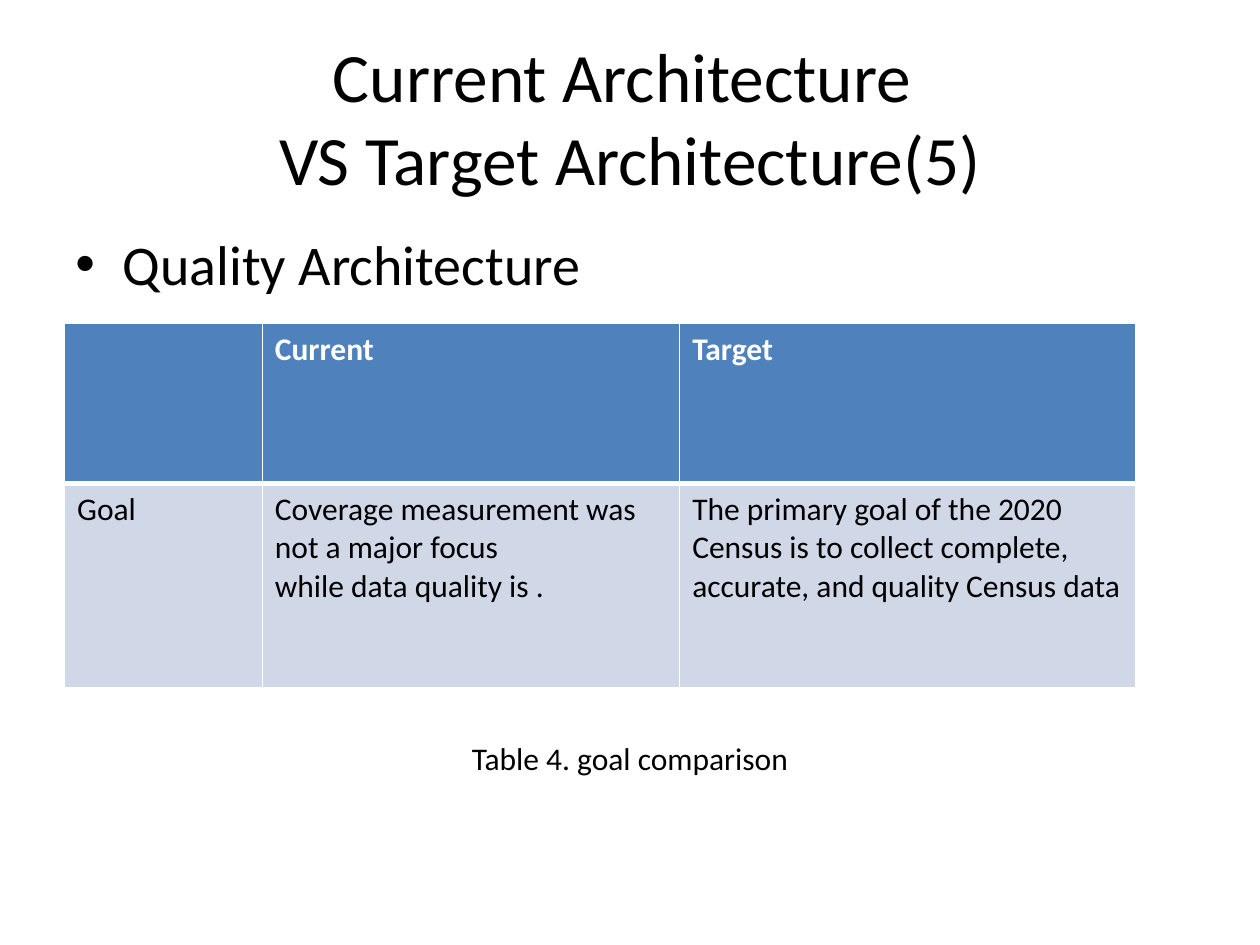
from lxml import etree
from pptx import Presentation
from pptx.dml.color import RGBColor
from pptx.enum.text import MSO_ANCHOR, MSO_AUTO_SIZE, PP_ALIGN
from pptx.oxml.ns import qn
from pptx.util import Pt

CENTER, LEFT = PP_ALIGN.CENTER, PP_ALIGN.LEFT
MIDDLE, TOP = MSO_ANCHOR.MIDDLE, MSO_ANCHOR.TOP
NO_AUTOFIT = MSO_AUTO_SIZE.NONE
TITLE_ONLY = 5

# Content
TITLE = "Current Architecture \vVS Target Architecture(5)"
HEADING = "Quality Architecture"
CAPTION = "Table 4. goal comparison"
ROWS = [
    ["", "Current", "Target"],
    ["Goal",
     "Coverage measurement was not a major focus \vwhile data quality is .",
     "The primary goal of the 2020 Census is to collect complete, "
     "accurate, and quality Census data"],
]

# Format
FONT = "Calibri"
COLORS = {"text": "000000", "header": "4F81BD", "body": "D0D8E8", "white": "FFFFFF"}
MARGIN, CONTENT_WIDTH = 36, 648
TABLE_LEFT, TABLE_TOP = 36.9, 185
COLUMN_WIDTHS = [113, 238.5, 260.5]
ROW_HEIGHTS = [91.5, 116.5]
BULLET_INDENT = 27
THIN, THICK = 1, 3
HEADER_STYLE = {"size": 18, "color": "white", "bold": True}
TEXT_STYLE = {"size": 18, "color": "text", "bold": False}


def write(text_frame, text, size, color="text", bold=False, align=LEFT):
    text_frame.text = text
    paragraph = text_frame.paragraphs[0]
    paragraph.alignment = align
    values = {"name": FONT, "size": Pt(size), "bold": bold}
    for font in [paragraph.font] + [run.font for run in paragraph.runs]:
        for name, value in values.items():
            setattr(font, name, value)
        font.color.rgb = RGBColor.from_string(COLORS[color])
    return paragraph


def add_text(slide, top, height, text, **style):
    shape = slide.shapes.add_textbox(Pt(MARGIN), Pt(top), Pt(CONTENT_WIDTH), Pt(height))
    shape.text_frame.word_wrap = True
    return write(shape.text_frame, text, **style)


def add_bullet(paragraph):
    properties = paragraph._p.get_or_add_pPr()
    properties.set("marL", str(Pt(BULLET_INDENT)))
    properties.set("indent", str(-Pt(BULLET_INDENT)))
    etree.SubElement(properties, qn("a:buFont"), typeface="Arial")
    etree.SubElement(properties, qn("a:buChar"), char="•")


def set_borders(cell, widths):
    properties = cell._tc.get_or_add_tcPr()
    for position, (side, width) in enumerate(widths.items()):
        line = etree.Element(qn(f"a:ln{side}"), w=str(Pt(width)))
        fill = etree.SubElement(line, qn("a:solidFill"))
        etree.SubElement(fill, qn("a:srgbClr"), val=COLORS["white"])
        properties.insert(position, line)


def add_comparison_table(slide):
    table = slide.shapes.add_table(
        len(ROWS), len(COLUMN_WIDTHS), Pt(TABLE_LEFT), Pt(TABLE_TOP),
        Pt(sum(COLUMN_WIDTHS)), Pt(sum(ROW_HEIGHTS))).table
    for column, width in zip(table.columns, COLUMN_WIDTHS):
        column.width = Pt(width)
    for row_index, (row, height) in enumerate(zip(table.rows, ROW_HEIGHTS)):
        row.height = Pt(height)
        is_header = row_index == 0
        style = HEADER_STYLE if is_header else TEXT_STYLE
        fill = COLORS["header" if is_header else "body"]
        borders = {"L": THIN, "R": THIN,
                   "T": THIN if is_header else THICK,
                   "B": THICK if is_header else THIN}
        for cell, text in zip(row.cells, ROWS[row_index]):
            cell.vertical_anchor = TOP
            cell.fill.solid()
            cell.fill.fore_color.rgb = RGBColor.from_string(fill)
            write(cell.text_frame, text, **style)
            set_borders(cell, borders)


def main():
    presentation = Presentation()
    presentation.slide_width, presentation.slide_height = Pt(720), Pt(540)
    slide = presentation.slides.add_slide(presentation.slide_layouts[TITLE_ONLY])

    # Title
    title = slide.shapes.title
    title.left, title.top = Pt(MARGIN), Pt(21.6)
    title.width, title.height = Pt(CONTENT_WIDTH), Pt(90)
    title.text_frame.auto_size = NO_AUTOFIT
    title.text_frame.vertical_anchor = MIDDLE
    write(title.text_frame, TITLE, size=39.6, align=CENTER)

    # Heading, table and caption
    add_bullet(add_text(slide, 127.5, 46, HEADING, size=32))
    add_comparison_table(slide)
    add_text(slide, 418.5, 29, CAPTION, size=18, align=CENTER)

    presentation.save("out.pptx")


if __name__ == "__main__":
    main()
